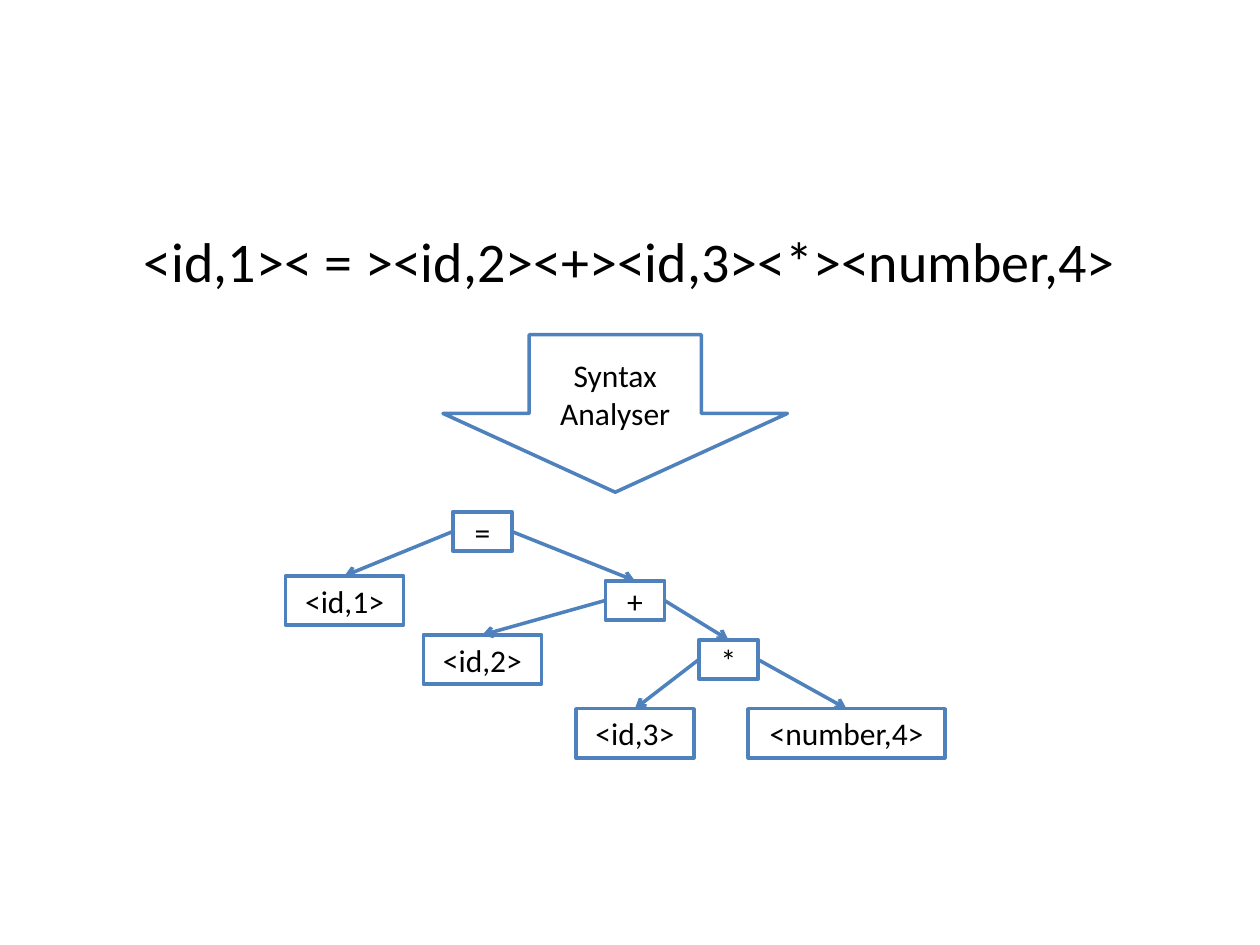
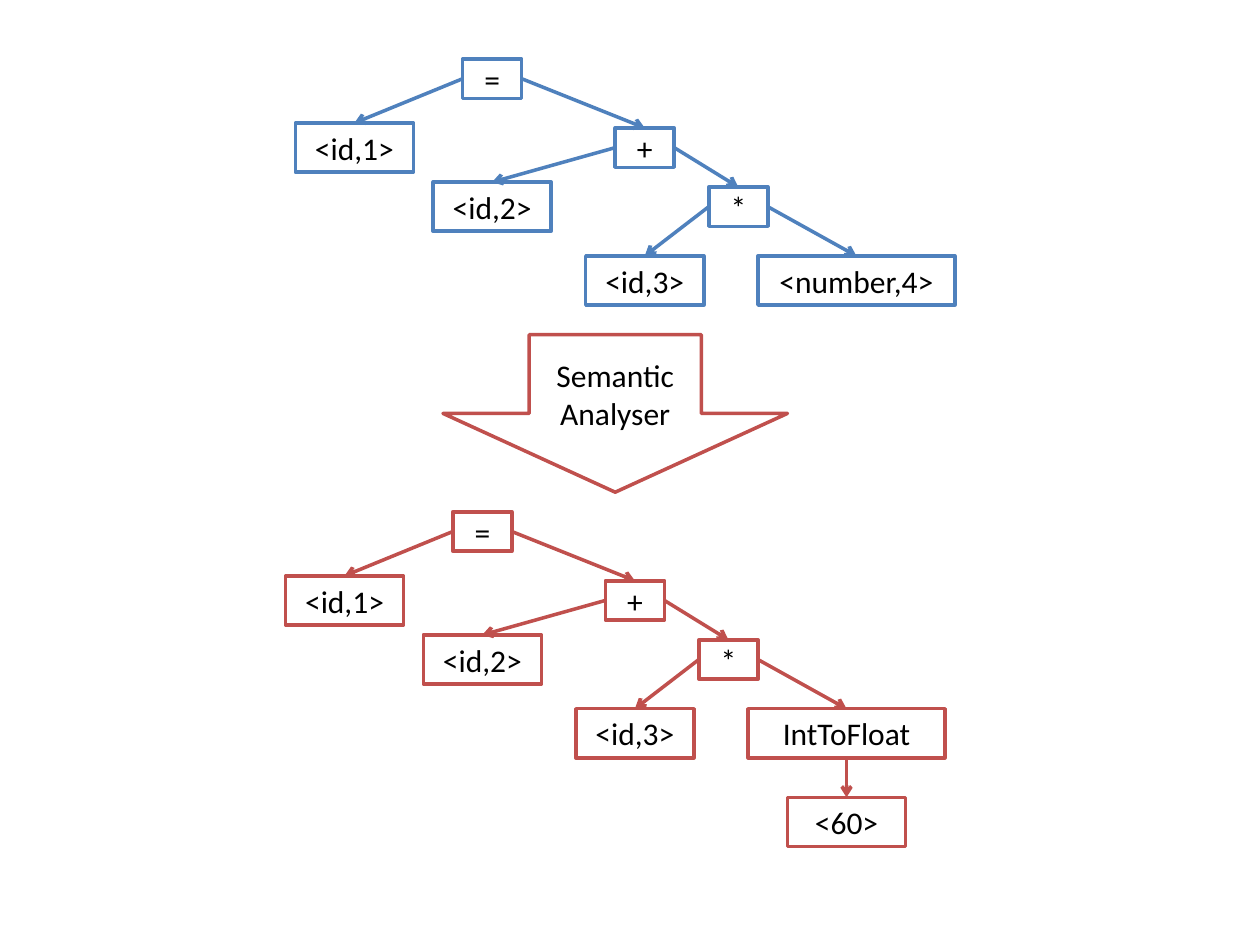
"""Build two slides on the syntax and semantic analysis of an expression."""
from lxml.etree import SubElement
from pptx import Presentation
from pptx.dml.color import RGBColor
from pptx.enum.shapes import MSO_CONNECTOR, MSO_SHAPE
from pptx.enum.text import MSO_ANCHOR, PP_ALIGN
from pptx.oxml.ns import qn
from pptx.util import Pt

BLUE = RGBColor(0x4F, 0x81, 0xBD)
RED = RGBColor(0xC0, 0x50, 0x4D)
WHITE = RGBColor(255, 255, 255)
BLACK = RGBColor(0, 0, 0)
FONT = "Calibri"

SMALL, LEAF, WIDE = (33.75, 22.5), (67.5, 28.12), (112.5, 28.12)
TOP, LEFT, BOTTOM, RIGHT = range(4)

NODES = {
    "=": (95.62, 0, SMALL),
    "<id,1>": (0, 36.56, LEAF),
    "<id,2>": (78.75, 70.31, LEAF),
    "<id,3>": (165.94, 112.5, LEAF),
    "<number,4>": (264.38, 112.5, WIDE),
    "+": (182.81, 39.38, SMALL),
    "*": (236.25, 73.12, SMALL),
}
EDGES = [
    ("=", LEFT, "<id,1>"),
    ("=", RIGHT, "+"),
    ("+", LEFT, "<id,2>"),
    ("+", RIGHT, "*"),
    ("*", LEFT, "<id,3>"),
    ("*", RIGHT, "<number,4>"),
]
CAST_NODES = {("IntToFloat" if name == "<number,4>" else name): node
              for name, node in NODES.items()}
CAST_NODES["<60>"] = (286.88, 163.12, LEAF)
CAST_EDGES = EDGES[:-1] + [("*", RIGHT, "IntToFloat"),
                           ("IntToFloat", BOTTOM, "<60>")]


def add_box(slide, kind, left, top, size, text, color):
    box = slide.shapes.add_shape(kind, Pt(left), Pt(top), *map(Pt, size))
    box.shadow.inherit = False
    box.fill.solid()
    box.fill.fore_color.rgb = WHITE
    box.line.color.rgb = color
    box.line.width = Pt(2)
    frame = box.text_frame
    frame.text = text
    frame.vertical_anchor = MSO_ANCHOR.MIDDLE
    for para in frame.paragraphs:
        para.alignment = PP_ALIGN.CENTER
        para.font.name = FONT
        para.font.size = Pt(18)
        para.font.color.rgb = BLACK
    return box


def add_tree(slide, left, top, nodes, edges, color):
    boxes = {name: add_box(slide, MSO_SHAPE.RECTANGLE, left + x, top + y,
                           size, name, color)
             for name, (x, y, size) in nodes.items()}
    for parent, side, child in edges:
        edge = slide.shapes.add_connector(MSO_CONNECTOR.STRAIGHT, 0, 0, 0, 0)
        edge.begin_connect(boxes[parent], side)
        edge.end_connect(boxes[child], TOP)
        edge.line.color.rgb = color
        edge.line.width = Pt(2)
        SubElement(edge.line._get_or_add_ln(), qn("a:tailEnd"), type="arrow")
        SubElement(edge._element.spPr, qn("a:effectLst"))


deck = Presentation()
deck.slide_width, deck.slide_height = Pt(720), Pt(540)
blank = deck.slide_layouts[6]

steps = [("Syntax", BLUE, NODES, EDGES),
         ("Semantic", RED, CAST_NODES, CAST_EDGES)]
for step, color, nodes, edges in steps:
    slide = deck.slides.add_slide(blank)
    if step == "Syntax":
        frame = slide.shapes.add_textbox(
            Pt(36), Pt(126), Pt(648), Pt(356.4)).text_frame
        frame.word_wrap = True
        frame.text = "<id,1>< = ><id,2><+><id,3><*><number,4>"
        tokens = frame.paragraphs[0]
        tokens.alignment = PP_ALIGN.CENTER
        tokens.font.name = FONT
        tokens.font.size = Pt(32)
        tokens.font.color.rgb = BLACK
    else:
        add_tree(slide, 168.75, 33.75, NODES, EDGES, BLUE)
    add_box(slide, MSO_SHAPE.DOWN_ARROW, 253.12, 191.25, (196.88, 90),
            f"{step}\nAnalyser", color)
    add_tree(slide, 163.12, 292.5, nodes, edges, color)

deck.save("out.pptx")
